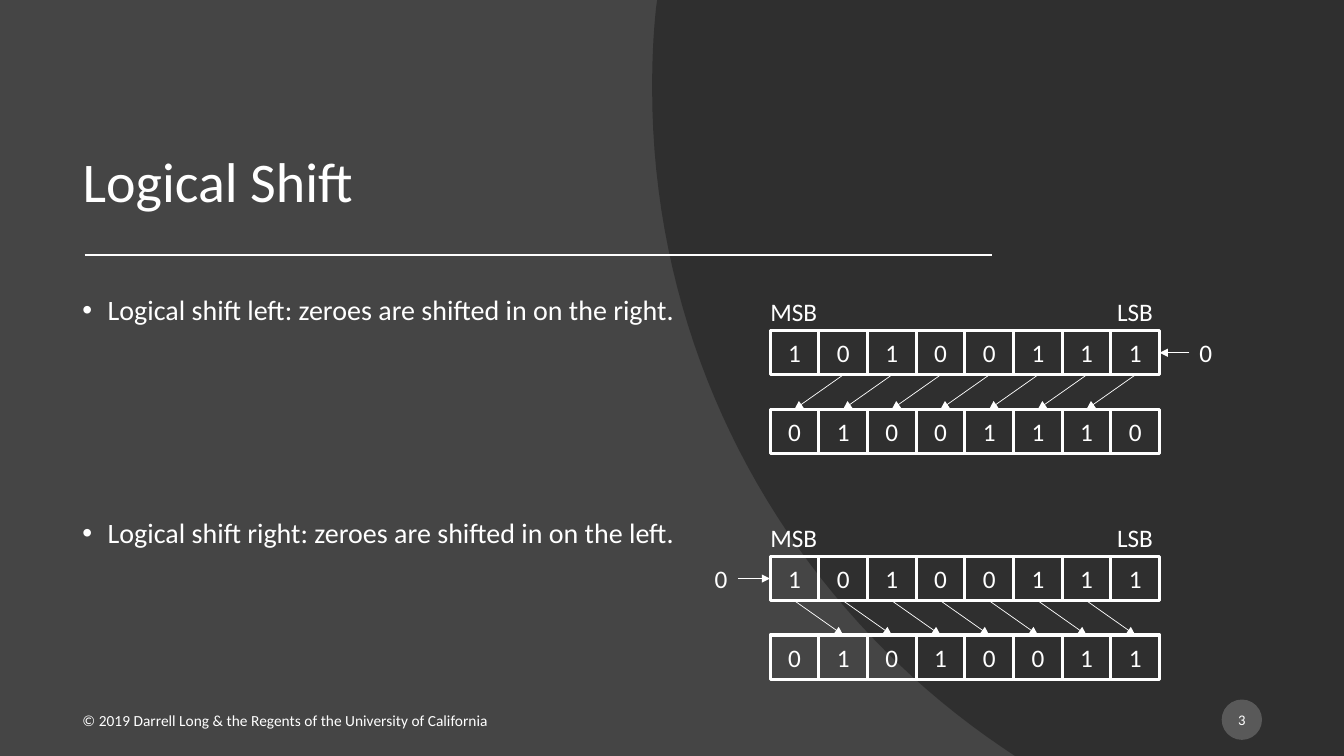
from lxml.etree import SubElement
from pptx import Presentation
from pptx.dml.color import RGBColor as Color
from pptx.enum.shapes import MSO_CONNECTOR as Link, MSO_SHAPE as Kind
from pptx.enum.text import MSO_ANCHOR as Anchor, PP_ALIGN as Align
from pptx.oxml.ns import qn
from pptx.util import Inches, Pt

COLS, ROWS = 133.33, 75
UNIT = Inches(0.1)
WHITE = "FFFFFF"
LEFT, PITCH, TALL, STEP = 76.4, 4.83, 4.4, 7.8


def grid(*cells):
    return [round(cell * UNIT) for cell in cells]


def paint(form, tint):
    form.solid()
    form.fore_color.rgb = Color.from_string(tint)


def write(shape, *lines, size=18, align=Align.LEFT, anchor=Anchor.TOP,
          wrap=True, lead=None, gap=0, after=0, bullet=False):
    frame = shape.text_frame
    frame.word_wrap = wrap
    frame.vertical_anchor = anchor
    for i, line in enumerate(lines):
        para = frame.add_paragraph() if i else frame.paragraphs[0]
        para.text = line
        para.alignment = align
        para.line_spacing = lead
        para.space_before = Pt(gap if i else 0)
        para.space_after = Pt(after)
        if bullet:
            props = para._p.get_or_add_pPr()
            props.set("marL", str(Inches(0.25)))
            props.set("indent", str(-Inches(0.25)))
            SubElement(props, qn("a:buFont"), typeface="Arial")
            SubElement(props, qn("a:buChar"), char="•")
        para.font.size = Pt(size)
        para.font.name = "Calibri"
        para.font.color.rgb = Color.from_string(WHITE)
    return shape


def label(slide, text, *area, **style):
    return write(slide.shapes.add_textbox(*grid(*area)), text, **style)


def rule(slide, start, end, width=0.5, head=False):
    line = slide.shapes.add_connector(Link.STRAIGHT, *grid(*start, *end))
    paint(line.line.fill, WHITE)
    line.line.width = Pt(width)
    if head:
        SubElement(line.line._get_or_add_ln(), qn("a:tailEnd"), type="triangle")
    SubElement(line._element.spPr, qn("a:effectLst"))
    return line


def arrow(slide, cell, side, other, end):
    line = rule(slide, (0, 0), (0, 0), head=True)
    line.begin_connect(cell, side)
    line.end_connect(other, end)


def curve(a, b, c, d, steps=40):
    for i in range(1, steps + 1):
        t = i / steps
        u = 1 - t
        yield tuple(u**3 * p + 3 * u * u * t * q + 3 * u * t * t * r + t**3 * s
                    for p, q, r, s in zip(a, b, c, d))


def swoop(slide):
    low, side, top = (99.5, 74.2), (64.7, 8.8), (65.1, 0.7)
    edge = [(COLS, 0), (COLS, ROWS), (100.7, ROWS), low,
            *curve(low, (78.5, 60), (64.7, 36), side),
            *curve(side, (64.7, 6.1), (64.8, 3.4), top)]
    path = slide.shapes.build_freeform(*grid(65.2, 0))
    path.add_line_segments([grid(*spot) for spot in edge])
    shape = path.convert_to_shape()
    shape.shadow.inherit = False
    paint(shape.fill, "262626")
    tint = shape._element.spPr.find(".//" + qn("a:srgbClr"))
    SubElement(tint, qn("a:alpha"), val="70000")
    shape.line.fill.background()


def byte(slide, bits, top):
    cells = []
    for i, bit in enumerate(bits):
        cell = slide.shapes.add_shape(
            Kind.RECTANGLE, *grid(LEFT + i * PITCH, top, PITCH, TALL))
        cell.shadow.inherit = False
        cell.fill.background()
        paint(cell.line.fill, WHITE)
        cell.line.width = Pt(2.25)
        write(cell, bit, align=Align.CENTER, anchor=Anchor.MIDDLE, wrap=False)
        cells.append(cell)
    return cells


def shift(slide, top, old, new, left):
    upper = byte(slide, old, top)
    lower = byte(slide, new, top + STEP)
    for text, x, wide in (("MSB", 75.4, 6.7), ("LSB", 109.8, 5.6)):
        label(slide, text, x, top - 3.9, wide, 4, align=Align.CENTER, wrap=False)
    pairs = zip(upper[1:], lower) if left else zip(upper, lower[1:])
    for cell, other in pairs:
        arrow(slide, cell, 2, other, 0)
    zero = label(slide, "0", 118 if left else 69.9, top + 0.2, 3.3, 4, wrap=False)
    if left:
        arrow(slide, zero, 1, upper[-1], 3)
    else:
        arrow(slide, zero, 3, upper[0], 1)


def main():
    deck = Presentation()
    deck.slide_width, deck.slide_height = grid(COLS, ROWS)
    slide = deck.slides.add_slide(deck.slide_layouts[5])
    paint(slide.background.fill, "454545")
    swoop(slide)

    title = slide.shapes.title
    title.left, title.top, title.width, title.height = grid(7.2, 4, 98.6, 17.8)
    write(title, "Logical Shift", size=40, anchor=Anchor.BOTTOM, lead=0.9)
    rule(slide, (8.4, 25.3), (98.4, 25.3), width=1.5)

    body = slide.shapes.add_textbox(*grid(7.2, 28.9, 98.6, 36.4))
    write(body, "Logical shift left: zeroes are shifted in on the right.",
          "Logical shift right: zeroes are shifted in on the left.",
          size=20, lead=0.9, gap=138, bullet=True)

    shift(slide, 32.8, "10100111", "01001110", left=True)
    shift(slide, 55.2, "10100111", "01010011", left=False)

    label(slide, "© 2019 Darrell Long & the Regents of the University of California",
          7.2, 69.5, 45, 4, size=11, anchor=Anchor.MIDDLE, after=6)
    badge = slide.shapes.add_shape(Kind.OVAL, *grid(121.2, 69.4, 4, 4))
    badge.shadow.inherit = False
    paint(badge.fill, "595959")
    badge.line.fill.background()
    write(badge, "3", size=10.5, align=Align.CENTER, anchor=Anchor.MIDDLE,
          wrap=False, after=6)
    deck.save("out.pptx")


if __name__ == "__main__":
    main()
